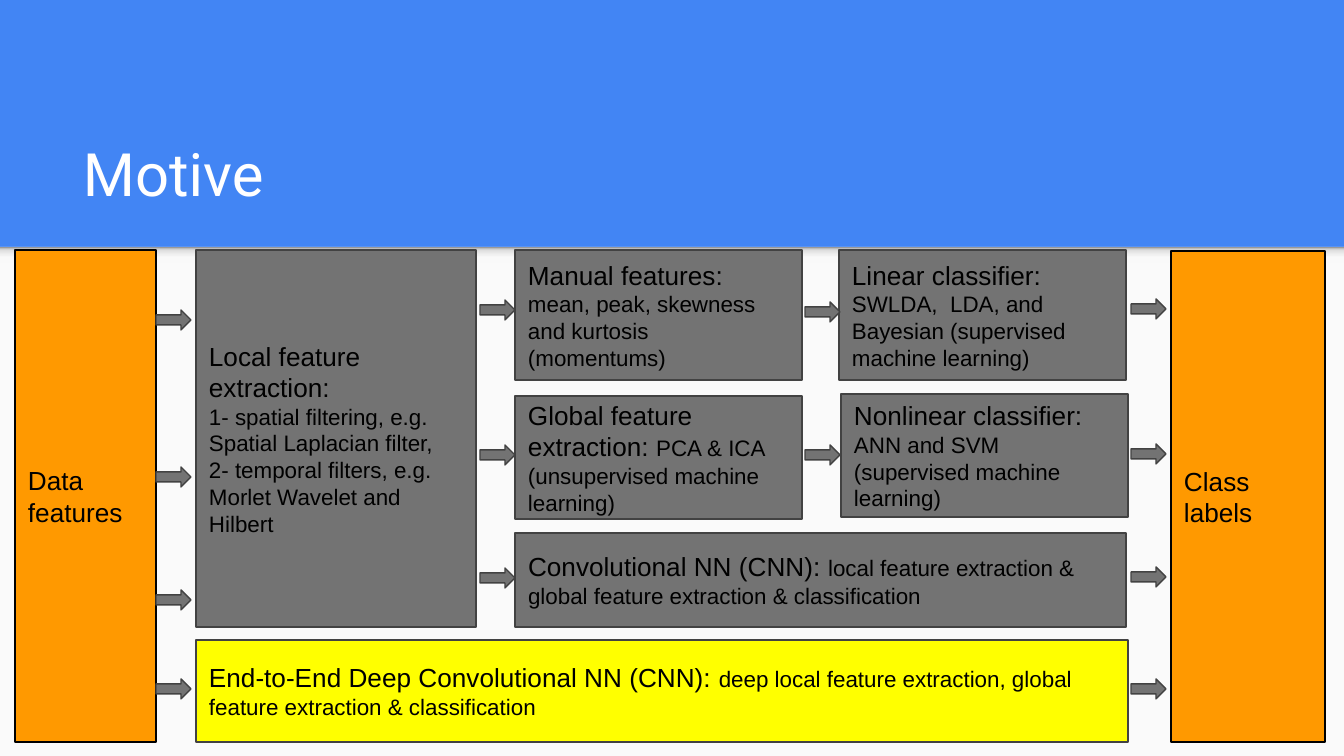
from copy import deepcopy

from pptx import Presentation
from pptx.dml.color import RGBColor
from pptx.enum.shapes import MSO_SHAPE as Preset
from pptx.enum.text import MSO_ANCHOR as Anchor, PP_ALIGN as Align
from pptx.util import Emu, Pt

EMU_PER_PX = 914400 / 134.4
WIDTH, HEIGHT = 1344, 756
BAND_TOP = 247
GRAY, EDGE, ORANGE, YELLOW, BLACK = "737373", "424242", "FF9900", "FFFF00", "000000"
HEAD, BODY = 14, 12
ARROW_WIDTH, ARROW_HEIGHT = 35, 20

BOXES = [
    ((515, 250, 287, 130), GRAY, EDGE,
     [[("Manual features: ", HEAD), ("mean, peak, skewness and kurtosis (momentums)", BODY)]]),
    ((839, 250, 287, 130), GRAY, EDGE,
     [[("Linear classifier: ", HEAD),
       ("SWLDA,  LDA, and Bayesian (supervised machine learning)", BODY)]]),
    ((196, 250, 280, 377), GRAY, EDGE,
     [[("Local feature extraction:", HEAD)],
      [("1- spatial filtering, e.g.", BODY)],
      [("Spatial Laplacian filter,", BODY)],
      [("2- temporal filters, e.g. Morlet Wavelet and Hilbert", BODY)]]),
    ((515, 396, 287, 123), GRAY, EDGE,
     [[("Global feature extraction: ", HEAD),
       ("PCA & ICA (unsupervised machine learning)", BODY)]]),
    ((841, 394, 287, 123), GRAY, EDGE,
     [[("Nonlinear classifier: ", HEAD), ("ANN and SVM (supervised machine learning)", BODY)]]),
    ((515, 533, 611, 94), GRAY, EDGE,
     [[("Convolutional NN (CNN): ", HEAD),
       ("local feature extraction & global feature extraction & classification", BODY)]]),
    ((196, 640, 932, 102), YELLOW, EDGE,
     [[("End-to-End Deep Convolutional NN (CNN): ", HEAD),
       ("deep local feature extraction, global feature extraction & classification", BODY)]]),
    ((15, 250, 141, 492), ORANGE, BLACK, [[("Data features", HEAD)]]),
    ((1171, 251, 154, 491), ORANGE, BLACK, [[("Class labels", HEAD)]]),
]

ARROW_TOPS = {
    156: (310, 467, 590, 679),
    480: (300, 445, 568),
    805: (302, 445),
    1131: (299, 444, 567, 679),
}


def px(value):
    return Emu(round(value * EMU_PER_PX))


def color(value):
    return RGBColor.from_string(value)


def add_preset(slide, preset, place, fill, line=None):
    shape = slide.shapes.add_shape(preset, *map(px, place))
    shape.shadow.inherit = False
    shape.fill.solid()
    shape.fill.fore_color.rgb = color(fill)
    if line:
        shape.line.color.rgb = color(line)
        shape.line.width = Pt(0.75)
    else:
        shape.line.fill.background()
    return shape


def write_text(shape, paragraphs, anchor, font_name, font_color):
    frame = shape.text_frame
    frame.word_wrap = True
    frame.vertical_anchor = anchor
    frame.margin_left = frame.margin_right = px(13)
    frame.margin_top = frame.margin_bottom = px(13)
    for index, runs in enumerate(paragraphs):
        paragraph = frame.add_paragraph() if index else frame.paragraphs[0]
        paragraph.alignment = Align.LEFT
        for text, size in runs:
            run = paragraph.add_run()
            run.text = text
            run.font.size = Pt(size)
            run.font.name = font_name
            run.font.color.rgb = color(font_color)


def add_box(slide, place, fill, line, paragraphs):
    box = add_preset(slide, Preset.RECTANGLE, place, fill, line)
    write_text(box, paragraphs, Anchor.MIDDLE, "Arial", BLACK)


def add_arrow(slide, left, top):
    place = (left, top, ARROW_WIDTH, ARROW_HEIGHT)
    add_preset(slide, Preset.RIGHT_ARROW, place, GRAY, EDGE)


def add_band_shadow(slide):
    band = add_preset(slide, Preset.RECTANGLE, (0, BAND_TOP, WIDTH, 16), "F9F9F9")
    band.fill.gradient()
    band.fill.gradient_angle = 90
    stop_list = band.element.spPr.gradFill.gsLst
    for stop in list(stop_list):
        stop_list.append(deepcopy(stop))
    levels = [(0, "F9F9F9"), (0.36, "F9F9F9"), (0.8, "DEDEDE"), (1, "999999")]
    for stop, (position, value) in zip(band.fill.gradient_stops, levels):
        stop.position = position
        stop.color.rgb = color(value)


def add_title(slide, text):
    title = slide.shapes.add_textbox(*map(px, (70, 109, 1208, 113)))
    write_text(title, [[(text, 32)]], Anchor.BOTTOM, "Roboto", "FFFFFF")


def main():
    presentation = Presentation()
    presentation.slide_width, presentation.slide_height = px(WIDTH), px(HEIGHT)
    slide = presentation.slides.add_slide(presentation.slide_layouts[6])
    slide.background.fill.solid()
    slide.background.fill.fore_color.rgb = color("4285F4")

    add_preset(slide, Preset.RECTANGLE, (0, BAND_TOP, WIDTH, HEIGHT - BAND_TOP), "FAFAFA")
    add_band_shadow(slide)
    add_title(slide, "Motive")
    for place, fill, line, paragraphs in BOXES:
        add_box(slide, place, fill, line, paragraphs)
    for left, tops in ARROW_TOPS.items():
        for top in tops:
            add_arrow(slide, left, top)

    presentation.save("out.pptx")


if __name__ == "__main__":
    main()
